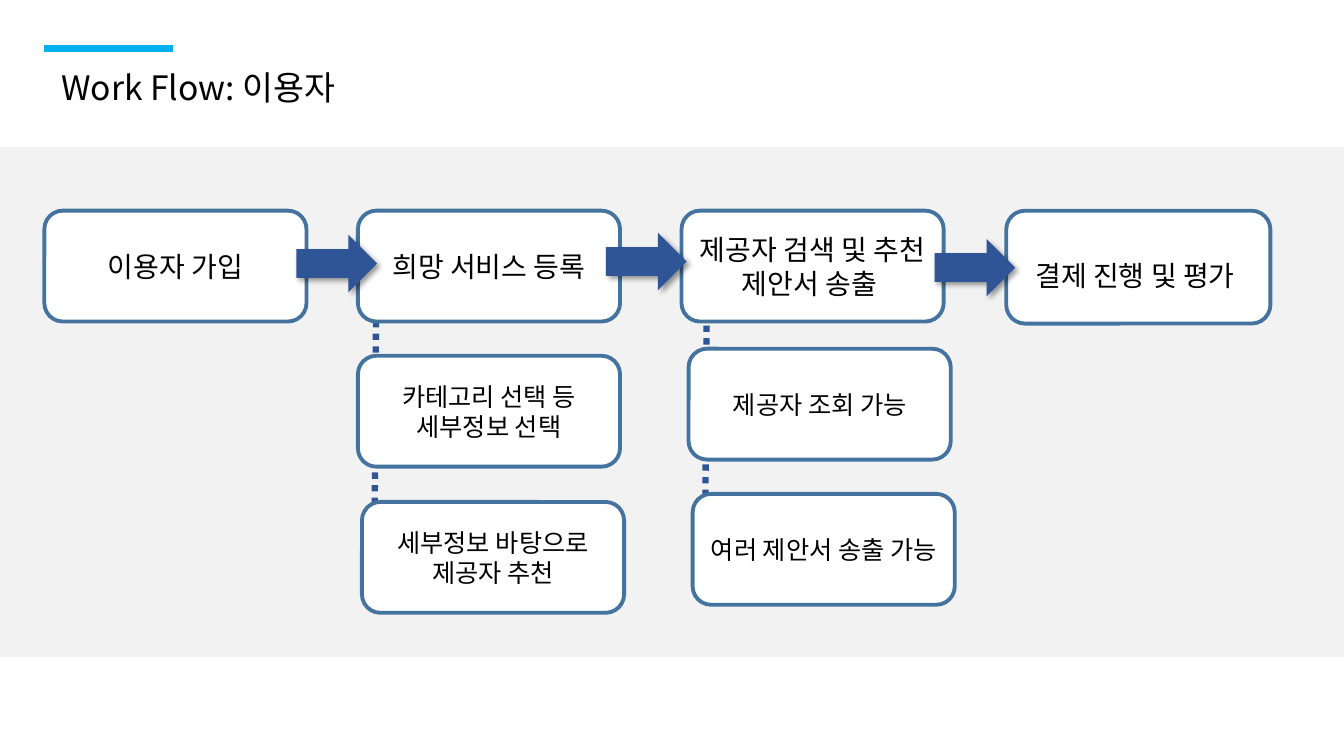
from lxml import etree
from pptx import Presentation
from pptx.dml.color import RGBColor
from pptx.enum.dml import MSO_LINE_DASH_STYLE as Dash
from pptx.enum.shapes import MSO_CONNECTOR as Connector, MSO_SHAPE as Shape
from pptx.enum.text import MSO_ANCHOR as Anchor, PP_ALIGN as Align
from pptx.oxml.ns import qn
from pptx.util import Inches, Pt

WIDTH, HEIGHT = 13.33, 7.5
FONT = "Noto Sans CJK KR"
BLACK, WHITE, BAND = "000000", "FFFFFF", "F2F2F2"
ACCENT, BORDER, NAVY = "00B0F0", "43739E", "2F5597"

# Left edges of the four step columns, and the row and box sizes
COLUMNS = (0.44, 3.55, 6.76, 9.98)
TOP = 2.09
BOX_WIDTH, BOX_HEIGHT = 2.6, 1.1
ROW_PITCH = 1.45
ARROW_WIDTH, ARROW_HEIGHT = 0.8, 0.57

# Column, text lines, extra width and height, line spacing
STEPS = (
    (0, ["이용자 가입"], 0, None),
    (1, ["희망 서비스 등록"], 0, None),
    (2, ["제공자 검색 및 추천 ", "제안서 송출 "], 0, None),
    (3, ["결제 진행 및 평가 "], 0.02, 1.5),
)
# Column, row, shift right, shift down, text lines
DETAILS = (
    (1, 1, 0, -0.01, ["카테고리 선택 등", "세부정보 선택"]),
    (1, 2, 0.04, -0.01, ["세부정보 바탕으로", "제공자 추천"]),
    (2, 1, 0.07, -0.08, ["제공자 조회 가능"]),
    (2, 2, 0.11, -0.09, ["여러 제안서 송출 가능"]),
)
ARROWS = ((2.94, 2.33), (6.01, 2.31), (9.27, 2.37))
DOTTED_LINES = ((3.73, 3.06, 3.71, 6), (7.01, 2.98, 6.99, 5.93))


def color(value):
    return RGBColor.from_string(value)


def add_block(slide, kind, place, fill, border=None):
    block = slide.shapes.add_shape(kind, *map(Inches, place))
    block.shadow.inherit = False
    block.fill.solid()
    block.fill.fore_color.rgb = color(fill)
    if border:
        block.line.color.rgb = color(border)
        block.line.width = Pt(2.75)
    else:
        block.line.fill.background()
    return block


def write_lines(shape, lines, size, **paragraph_format):
    frame = shape.text_frame
    frame.word_wrap = True
    for index, line in enumerate(lines):
        paragraph = frame.paragraphs[0] if index == 0 else frame.add_paragraph()
        for name, value in paragraph_format.items():
            setattr(paragraph, name, value)
        run = paragraph.add_run()
        run.text = line
        for name, value in {"size": Pt(size), "name": FONT}.items():
            setattr(run.font, name, value)
        run.font.color.rgb = color(BLACK)
        etree.SubElement(run.font._element, qn("a:ea"), typeface=FONT)


def add_box(slide, place, lines, size, line_spacing=None):
    box = add_block(slide, Shape.ROUNDED_RECTANGLE, place, WHITE, BORDER)
    box.text_frame.vertical_anchor = Anchor.MIDDLE
    write_lines(box, lines, size, alignment=Align.CENTER, line_spacing=line_spacing)


def add_line(slide, ends, stroke, width, dash=None):
    line = slide.shapes.add_connector(Connector.STRAIGHT, *map(Inches, ends))
    line.line.color.rgb = color(stroke)
    line.line.width = Pt(width)
    if dash:
        line.line.dash_style = dash
    etree.SubElement(line._element.spPr, qn("a:effectLst"))


def add_arrow(slide, left, top):
    """Add a step arrow with a soft shadow to its lower right."""
    place = (left, top, ARROW_WIDTH, ARROW_HEIGHT)
    arrow = add_block(slide, Shape.RIGHT_ARROW, place, NAVY)
    effects = arrow._element.spPr.find(qn("a:effectLst"))
    shadow = etree.SubElement(
        effects, qn("a:outerShdw"), blurRad=str(Pt(4)), dist=str(Pt(3)),
        dir=str(45 * 60000), algn="tl", rotWithShape="0")
    tint = etree.SubElement(shadow, qn("a:srgbClr"), val=BLACK)
    etree.SubElement(tint, qn("a:alpha"), val="40000")


def add_header(slide):
    add_line(slide, (COLUMNS[0], 0.48, 1.72, 0.48), ACCENT, 5)
    title = slide.shapes.add_textbox(*map(Inches, (0.51, 0.61, 4.51, 0.5)))
    write_lines(title, ["Work Flow: 이용자"], 24)


def main():
    presentation = Presentation()
    presentation.slide_width = Inches(WIDTH)
    presentation.slide_height = Inches(HEIGHT)
    slide = presentation.slides.add_slide(presentation.slide_layouts[6])

    add_block(slide, Shape.RECTANGLE, (0, 1.46, WIDTH, 5.06), BAND)
    add_header(slide)
    for ends in DOTTED_LINES:
        add_line(slide, ends, NAVY, 4.5, Dash.ROUND_DOT)
    for column, row, right, down, lines in DETAILS:
        place = (COLUMNS[column] + right, TOP + row * ROW_PITCH + down,
                 BOX_WIDTH, BOX_HEIGHT)
        add_box(slide, place, lines, 18)
    for column, lines, extra, spacing in STEPS:
        place = (COLUMNS[column], TOP, BOX_WIDTH + extra, BOX_HEIGHT + extra)
        add_box(slide, place, lines, 20, spacing)
    for left, top in ARROWS:
        add_arrow(slide, left, top)

    presentation.save("out.pptx")


if __name__ == "__main__":
    main()
